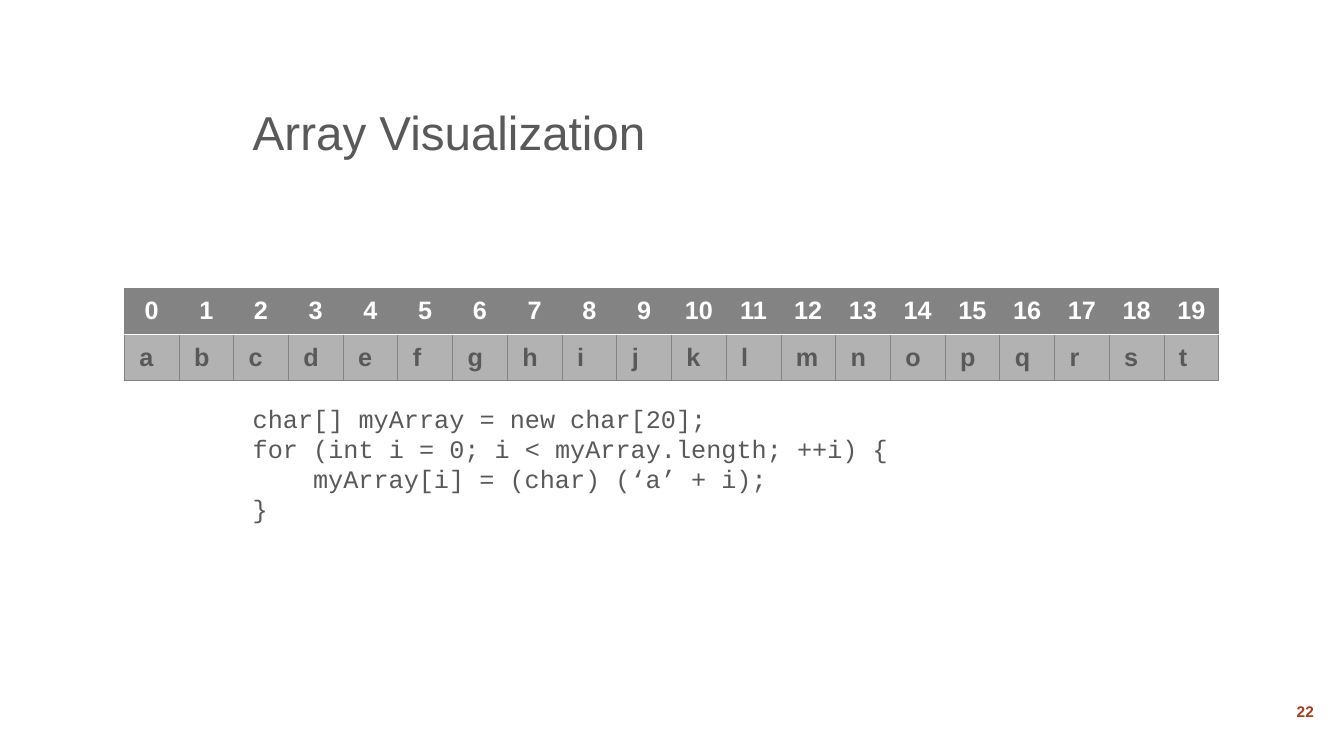
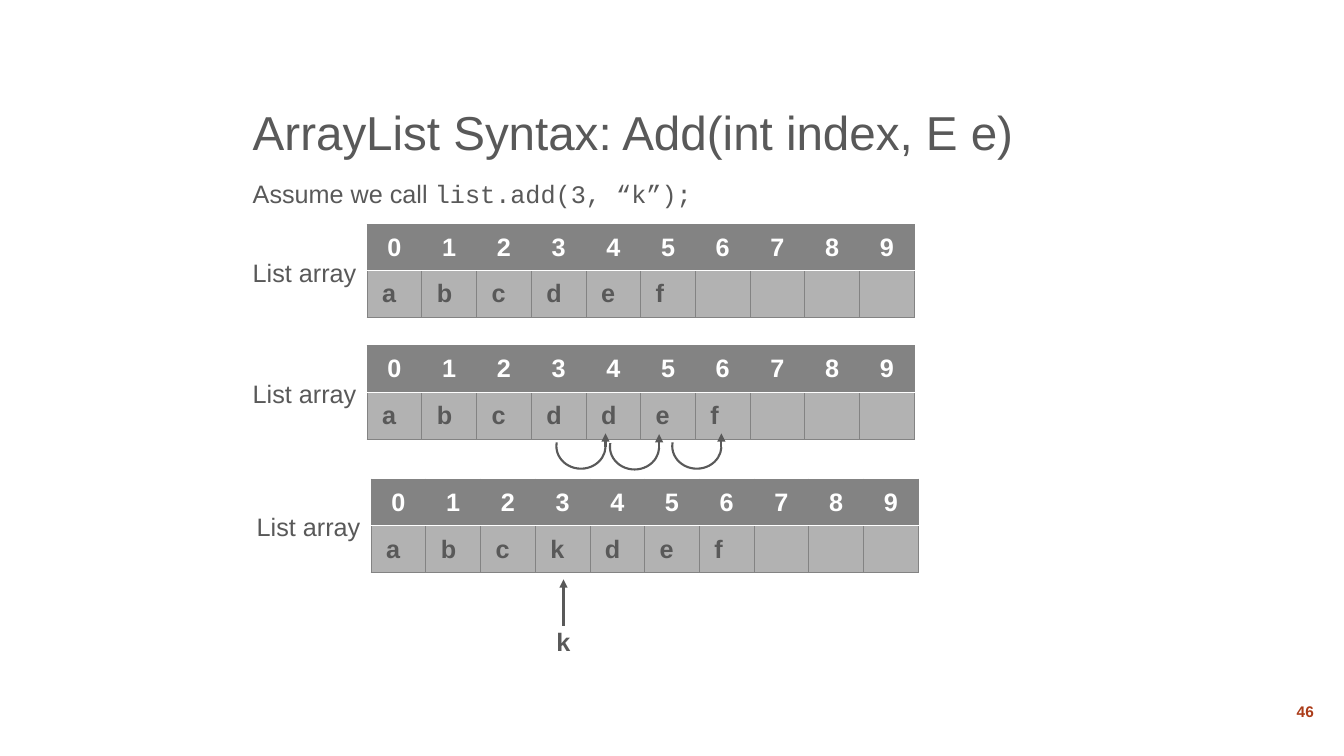
from lxml import etree
from pptx import Presentation
from pptx.dml.color import RGBColor
from pptx.enum.shapes import MSO_CONNECTOR, MSO_SHAPE
from pptx.enum.text import MSO_ANCHOR, PP_ALIGN
from pptx.oxml.ns import qn
from pptx.util import Cm, Pt

LEFT, CENTER = PP_ALIGN.LEFT, PP_ALIGN.CENTER
TOP, MIDDLE, BOTTOM = MSO_ANCHOR.TOP, MSO_ANCHOR.MIDDLE, MSO_ANCHOR.BOTTOM
ARC, STRAIGHT = MSO_SHAPE.ARC, MSO_CONNECTOR.STRAIGHT

COLORS = {"text": "595959", "number": "AB3C19", "white": "FFFFFF",
          "header": "838383", "cell": "B2B2B2"}

# Text formats: size, font, colour, bold
FORMATS = {
    "title": {"size": Pt(34), "name": "Arial", "color": "text"},
    "body": {"size": Pt(18), "name": "Arial", "color": "text"},
    "code": {"size": Pt(18), "name": "Courier New", "color": "text"},
    "strong": {"size": Pt(18), "name": "Arial", "color": "text", "bold": True},
    "index": {"size": Pt(18), "name": "Arial", "color": "white", "bold": True},
    "number": {"size": Pt(11), "name": "Arial", "color": "number", "bold": True},
}

MARGIN = 6.12    # left edge of titles and text
COL_W = 1.38     # array cell width
LABEL_DX, LABEL_DY = 3.13, 0.69    # label offset from its array


def write(tf, lines, align=LEFT, anchor=TOP):
    """Fill a text frame; each line is a list of (text, format) runs."""
    tf.word_wrap = True
    tf.vertical_anchor = anchor
    for i, runs in enumerate(lines):
        p = tf.paragraphs[0] if i == 0 else tf.add_paragraph()
        p.alignment = align
        for text, fmt in runs:
            r = p.add_run()
            r.text = text
            for key, value in FORMATS[fmt].items():
                if key == "color":
                    r.font.color.rgb = RGBColor.from_string(COLORS[value])
                else:
                    setattr(r.font, key, value)


def add_array(s, left, top, row_h, letters, count):
    """Draw an array as a row of indexes above a row of letters."""
    table = s.shapes.add_table(2, count, Cm(left), Cm(top),
                               Cm(COL_W * count), Cm(2 * row_h)).table
    for row in table.rows:
        row.height = Cm(row_h)
    for col in table.columns:
        col.width = Cm(COL_W)
    rows = [[str(i) for i in range(count)], letters.ljust(count)]
    styles = [("header", "index", CENTER, 0.2), ("cell", "strong", LEFT, 0.38)]
    for y, (fill, fmt, align, inset) in enumerate(styles):
        for x, text in enumerate(rows[y]):
            cell = table.cell(y, x)
            cell.margin_left = Cm(inset)
            cell.margin_right = cell.margin_top = cell.margin_bottom = Cm(0.2)
            cell.vertical_anchor = MIDDLE
            # Borders, with a white line between the two rows
            for side in ("lnL", "lnR", "lnT", "lnB"):
                inner = side == ("lnB", "lnT")[y]
                ln = etree.SubElement(cell._tc.get_or_add_tcPr(), qn("a:" + side),
                                      w=str(Pt(1 if inner else 0.5)))
                line_fill = etree.SubElement(ln, qn("a:solidFill"))
                etree.SubElement(line_fill, qn("a:srgbClr"),
                                 val=COLORS["white" if inner else "header"])
            cell.fill.solid()
            cell.fill.fore_color.rgb = RGBColor.from_string(COLORS[fill])
            p = cell.text_frame.paragraphs[0]
            p.font.size = Pt(18)
            if text.strip():
                write(cell.text_frame, [[(text, fmt)]], align, MIDDLE)
                cell.vertical_anchor = MIDDLE


prs = Presentation()
prs.slide_width, prs.slide_height = Cm(33.87), Cm(19.05)

# Titles and slide numbers
slides = []
for title, number in [("Array Visualization", "22"),
                      ("ArrayList Syntax: Add(int index, E e)", "46")]:
    s = prs.slides.add_slide(prs.slide_layouts[6])
    tb = s.shapes.add_textbox(Cm(MARGIN), Cm(0.84), Cm(26.04), Cm(3.33))
    write(tb.text_frame, [[(title, "title")]], LEFT, BOTTOM)
    tb.text_frame.paragraphs[0].line_spacing = 0.9
    tb = s.shapes.add_textbox(Cm(32.16), Cm(17.45), Cm(1.47), Cm(0.97))
    write(tb.text_frame, [[(number, "number")]], CENTER, MIDDLE)
    slides.append(s)

# Slide 1: array and the code that fills it
s = slides[0]
add_array(s, 3.13, 7.26, 1.13, "abcdefghijklmnopqrst", 20)
code = ["char[] myArray = new char[20];",
        "for (int i = 0; i < myArray.length; ++i) {",
        "myArray[i] = (char) (‘a’ + i);",
        "}"]
tb = s.shapes.add_textbox(Cm(MARGIN), Cm(10.03), Cm(17.5), Cm(3.33))
write(tb.text_frame, [[(line, "code")] for line in code])
tb.text_frame.paragraphs[2]._p.get_or_add_pPr().set("marL", str(Cm(1.52)))

# Slide 2: the call
s = slides[1]
tb = s.shapes.add_textbox(Cm(MARGIN), Cm(4.37), Cm(12.5), Cm(1.02))
write(tb.text_frame, [[("Assume we call ", "body"), ("list.add(3, “k”);", "code")]])

# Array before, during and after the insertion
for left, top, row_h, letters in [(9.25, 5.66, 1.13, "abcdef"),
                                  (9.25, 8.71, 1.18, "abcddef"),
                                  (9.35, 12.07, 1.18, "abckdef")]:
    add_array(s, left, top, row_h, letters, 10)
    tb = s.shapes.add_textbox(Cm(left - LABEL_DX), Cm(top + LABEL_DY), Cm(3.23), Cm(1.02))
    write(tb.text_frame, [[("List array", "body")]])

# Arcs that shift letters to the right
arrows = [(14.2, 15.77, 14.6)]    # x, start y, end y; first is the inserted letter
arc_w, arc_h = 1.24, 1.14
for left, top in [(14.02, 10.67), (15.37, 10.69), (16.94, 10.67)]:
    sp = s.shapes.add_shape(ARC, Cm(left), Cm(top), Cm(arc_w), Cm(arc_h))
    sp.rotation = 180
    sp.adjustments[0], sp.adjustments[1] = 109.54, 5.18
    sp.shadow.inherit = False
    sp.fill.background()
    sp.line.color.rgb = RGBColor.from_string(COLORS["text"])
    sp.line.width = Pt(1.5)
    arrows.append((left + arc_w, top + 0.6, top + 0.25))

# Upward arrows
for x, y1, y2 in arrows:
    cx = s.shapes.add_connector(STRAIGHT, Cm(x), Cm(y1), Cm(x), Cm(y2))
    cx.line.color.rgb = RGBColor.from_string(COLORS["text"])
    cx.line.width = Pt(1.5)
    etree.SubElement(cx.line._get_or_add_ln(), qn("a:tailEnd"), type="triangle")
    etree.SubElement(cx._element.spPr, qn("a:effectLst"))

# Inserted letter
tb = s.shapes.add_textbox(Cm(13.58), Cm(15.65), Cm(1.24), Cm(1.02))
write(tb.text_frame, [[("k", "strong")]], CENTER)

prs.save("out.pptx")
